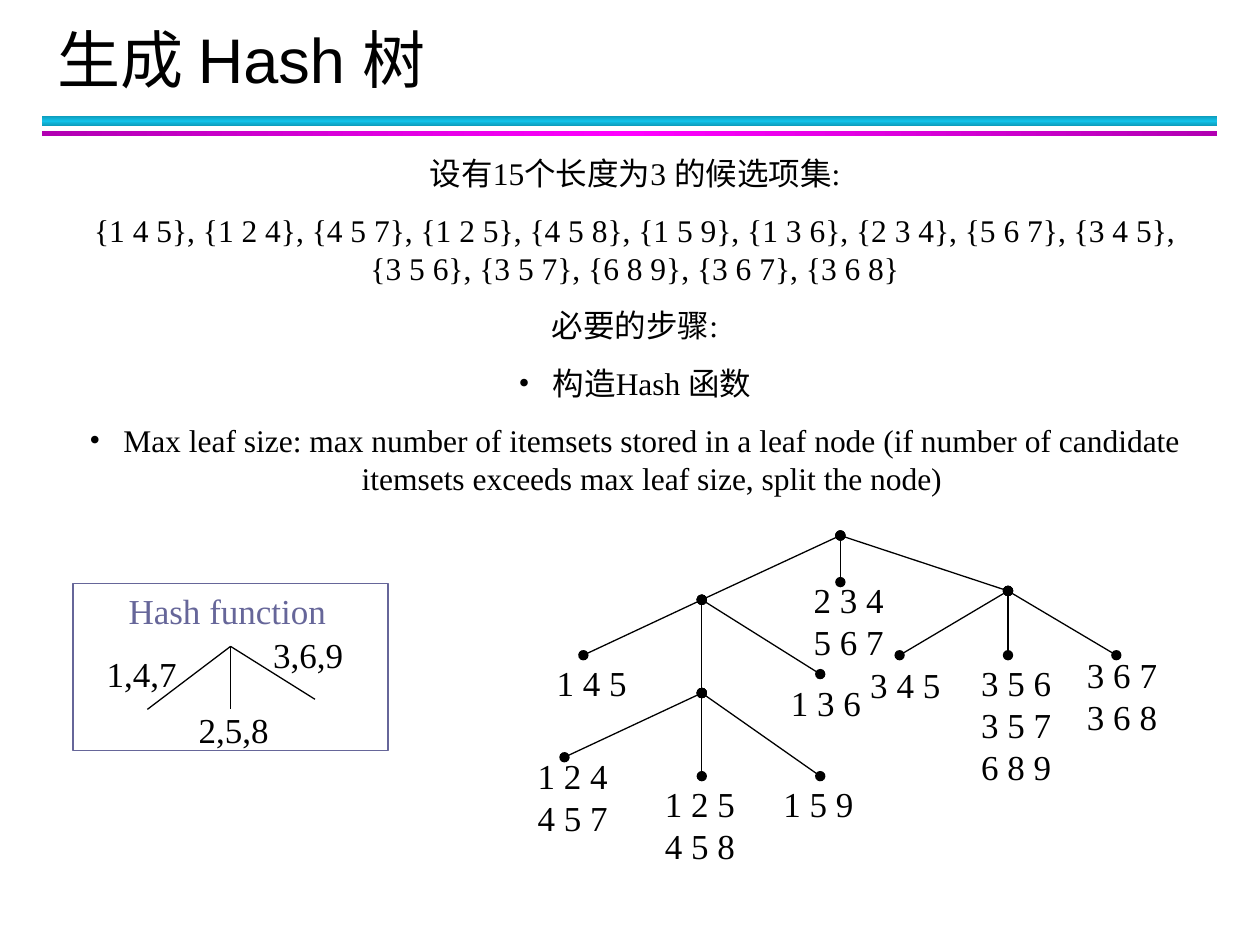
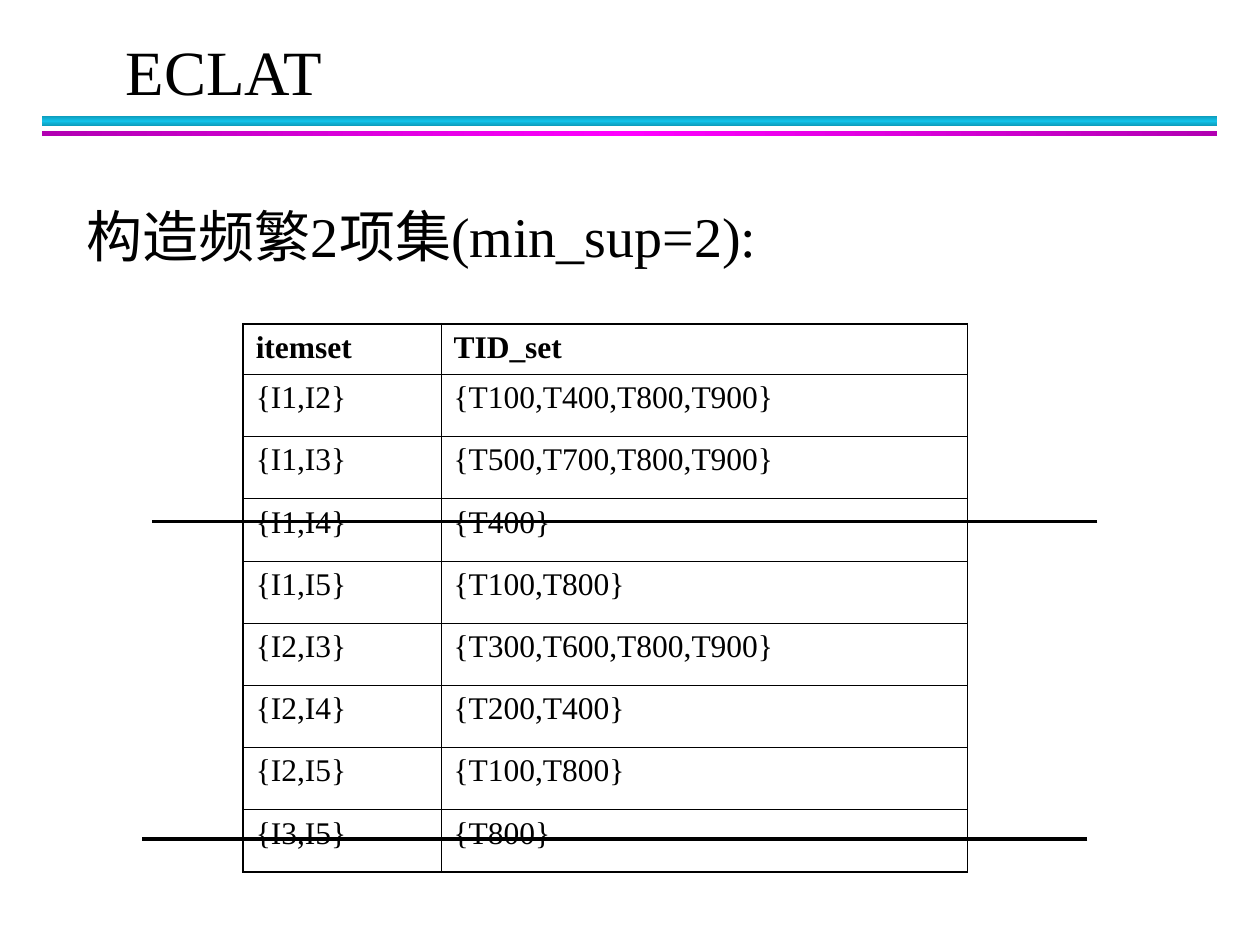
from lxml import etree
from pptx import Presentation
from pptx.dml.color import RGBColor
from pptx.enum import shapes, text
from pptx.oxml import ns
from pptx.util import Inches, Pt

HUES = {"ink": "000000", "frame": "666699", "cyan": "0E9BBA",
        "glow": "12C2E9", "plum": "B200B2", "pink": "FF00FF"}
SERIF = "Times New Roman"
MID = text.PP_ALIGN.CENTER


def rgb(hue):
    return RGBColor.from_string(HUES[hue])


def sub(node, tag, **attrs):
    return etree.SubElement(node, ns.qn(tag), attrs)


def style(par, size, hue="ink", face=SERIF, bold=False, align=None):
    par.alignment = align
    par.font.color.rgb = rgb(hue)
    for key, val in {"size": Pt(size), "name": face, "bold": bold}.items():
        setattr(par.font, key, val)


def write(slide, box, lines, size, gap=0, bullets=(), **look):
    """Text box with one paragraph a line; bullets holds line numbers."""
    frame = slide.shapes.add_textbox(*map(Inches, box)).text_frame
    frame.word_wrap = True
    for i, line in enumerate(lines):
        par = frame.add_paragraph() if i else frame.paragraphs[0]
        par.text = line
        if i:
            par.space_before = Pt(gap)
        if i in bullets:
            props = par._p.get_or_add_pPr()
            props.set("marL", str(Inches(0.27)))
            props.set("indent", str(-Inches(0.27)))
            sub(props, "a:buFont", typeface=SERIF)
            sub(props, "a:buChar", char="•")
        style(par, size, **look)
    return frame


def label(slide, x, y, lines, wide=0.75, hue="ink"):
    """Centred label that keeps each line whole."""
    frame = write(slide, (x, y, wide, 0.11 + 0.33 * len(lines)), lines, 20,
                  hue=hue, align=MID)
    fit = {"word_wrap": False, "margin_left": 0, "margin_right": 0,
           "auto_size": text.MSO_AUTO_SIZE.SHAPE_TO_FIT_TEXT}
    for key, val in fit.items():
        setattr(frame, key, val)


def link(slide, start, end, width=0.75, dots=False):
    ends = map(Inches, (*start, *end))
    line = slide.shapes.add_connector(shapes.MSO_CONNECTOR.STRAIGHT, *ends)
    line.line.color.rgb = rgb("ink")
    line.line.width = Pt(width)
    if dots:
        for tag in ("a:headEnd", "a:tailEnd"):
            sub(line.line._ln, tag, type="oval")
    sub(line._element.spPr, "a:effectLst")


def rect(slide, box):
    shape = slide.shapes.add_shape(shapes.MSO_SHAPE.RECTANGLE,
                                   *map(Inches, box))
    shape.shadow.inherit = False
    return shape


# Shared double band under the title
def bands(slide):
    for top, high, edge, core, angle in ((0.92, 0.08, "cyan", "glow", 90),
                                         (1.04, 0.04, "plum", "pink", 0)):
        band = rect(slide, (0.33, top, 9.33, high))
        band.line.fill.background()
        band.fill.gradient()
        band.fill.gradient_angle = angle
        stops = band._element.spPr.find(".//" + ns.qn("a:gsLst"))
        for stop in list(stops):
            stops.remove(stop)
        for pos, hue in ((0, edge), (50000, core), (100000, edge)):
            stop = sub(stops, "a:gs", pos=str(pos))
            sub(stop, "a:srgbClr", val=HUES[hue])


# Hash function legend
def legend(slide, x, y):
    box = rect(slide, (x, y, 2.5, 1.33))
    box.fill.background()
    box.line.color.rgb = rgb("frame")
    box.line.width = Pt(0.75)
    label(slide, x + 0.34, y, ["Hash function"], wide=1.77, hue="frame")
    for dx, dy in ((0.59, 1), (1.25, 1), (1.92, 0.92)):
        link(slide, (x + 1.25, y + 0.5), (x + dx, y + dy))
    for dx, dy, word in ((0.17, 0.5, "1,4,7"), (0.9, 0.94, "2,5,8"),
                         (1.49, 0.35, "3,6,9")):
        label(slide, x + dx, y + dy, [word])


# Hash tree: forks join their children, leaves hold itemsets
def tree(slide, x, y):
    root, left, low, right = (2.5, 0), (1.4, 0.51), (1.4, 1.25), (3.83, 0.44)
    forks = {root: (left, (2.5, 0.37), right),
             left: ((0.46, 0.95), low, (2.34, 1.1)),
             low: ((0.31, 1.76), (1.4, 1.91), (2.34, 1.91)),
             right: ((2.97, 0.95), (3.83, 0.95), (4.69, 0.95))}
    for fork, kids in forks.items():
        for kid in kids:
            link(slide, (x + fork[0], y + fork[1]),
                 (x + kid[0], y + kid[1]), dots=True)
    leaves = ((2.19, 0.29, "2 3 4", "5 6 7"), (0.15, 0.95, "1 4 5"),
              (2.01, 1.11, "1 3 6"), (0, 1.69, "1 2 4", "4 5 7"),
              (1.01, 1.91, "1 2 5", "4 5 8"), (1.95, 1.91, "1 5 9"),
              (2.64, 0.97, "3 4 5"), (3.52, 0.95, "3 5 6", "3 5 7", "6 8 9"),
              (4.36, 0.89, "3 6 7", "3 6 8"))
    for dx, dy, *sets in leaves:
        label(slide, x + dx, y + dy, sets)


def hashing(slide):
    bands(slide)
    title = write(slide, (0.36, 0.17, 9.06, 0.58), ["生成 Hash 树"], 36,
                  face="Arial")
    title.vertical_anchor = text.MSO_ANCHOR.MIDDLE
    steps = ["设有15个长度为3 的候选项集:",
             "{1 4 5}, {1 2 4}, {4 5 7}, {1 2 5}, {4 5 8}, {1 5 9}, {1 3 6}, "
             "{2 3 4}, {5 6 7}, {3 4 5}, {3 5 6}, {3 5 7}, {6 8 9}, {3 6 7}, "
             "{3 6 8}",
             "必要的步骤:",
             "构造Hash 函数",
             "Max leaf size: max number of itemsets stored in a leaf node "
             "(if number of candidate itemsets exceeds max leaf size, "
             "split the node)"]
    write(slide, (0.5, 1.17, 9.08, 2.83), steps, 18, gap=11.2,
          bullets=(3, 4), align=MID)
    legend(slide, 0.58, 4.63)
    tree(slide, 4.17, 4.25)


# Itemset table with a heavier outer edge
def grid(slide, x, y, rows):
    deep, wide = len(rows), len(rows[0])
    high, head = 4.35, 0.4
    sheet = slide.shapes.add_table(deep, wide, Inches(x), Inches(y),
                                   Inches(5.75), Inches(high)).table
    for col, width in zip(sheet.columns, (1.57, 4.18)):
        col.width = Inches(width)
    for r, row in enumerate(rows):
        tall = (high - head) / (deep - 1) if r else head
        sheet.rows[r].height = Inches(tall)
        for c, word in enumerate(row):
            cell = sheet.cell(r, c)
            cell.text = word
            style(cell.text_frame.paragraphs[0], 18, bold=r == 0)
            props = cell._tc.get_or_add_tcPr()
            outer = {"L": c == 0, "R": c == wide - 1,
                     "T": r == 0, "B": r == deep - 1}
            for side, edge in outer.items():
                line = sub(props, "a:ln" + side,
                           w=str(Pt(1.08 if edge else 0.45)))
                sub(sub(line, "a:solidFill"), "a:srgbClr", val=HUES["ink"])
            cell.fill.background()


def eclat(slide):
    bands(slide)
    write(slide, (0.9, 0.21, 5.91, 0.7), ["ECLAT"], 36)
    write(slide, (0.59, 1.55, 6.3, 0.64), ["构造频繁2项集(min_sup=2):"], 32)
    grid(slide, 1.93, 2.57, (
        ("itemset", "TID_set"),
        ("{I1,I2}", "{T100,T400,T800,T900}"),
        ("{I1,I3}", "{T500,T700,T800,T900}"),
        ("{I1,I4}", "{T400}"),
        ("{I1,I5}", "{T100,T800}"),
        ("{I2,I3}", "{T300,T600,T800,T900}"),
        ("{I2,I4}", "{T200,T400}"),
        ("{I2,I5}", "{T100,T800}"),
        ("{I3,I5}", "{T800}")))
    # Strikes through the infrequent itemsets
    for x, y in ((1.21, 4.14), (1.13, 6.66)):
        link(slide, (x + 7.5, y), (x, y), width=2)


def main():
    deck = Presentation()
    deck.slide_width, deck.slide_height = Inches(10), Inches(7.5)
    for build in (hashing, eclat):
        build(deck.slides.add_slide(deck.slide_layouts[6]))
    deck.save("out.pptx")


if __name__ == "__main__":
    main()
